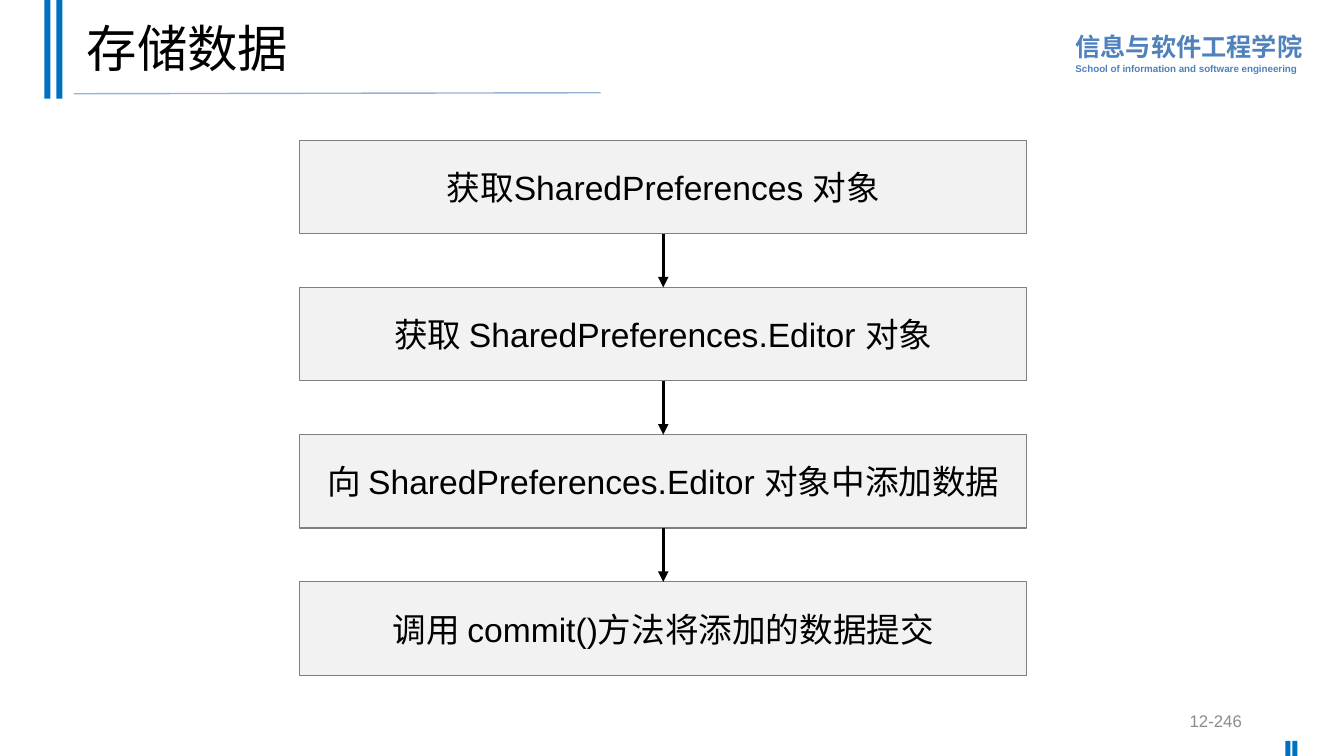
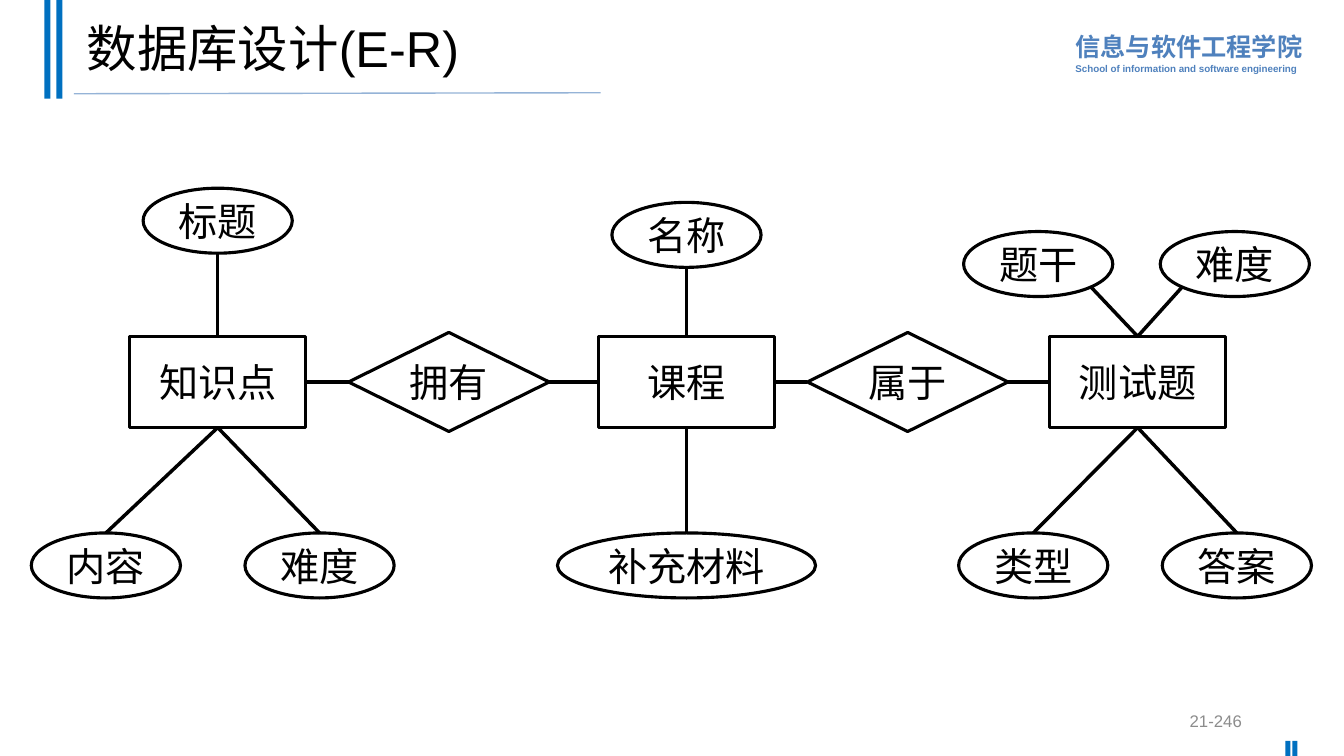
import math

import pptx
import pptx.dml.color
import pptx.enum.shapes
import pptx.enum.text
import pptx.oxml.ns
import pptx.util
from lxml import etree

SHAPE = pptx.enum.shapes.MSO_SHAPE
ALIGN = pptx.enum.text.PP_ALIGN
MIDDLE = pptx.enum.text.MSO_ANCHOR.MIDDLE
TOP, LEFT, BOTTOM, RIGHT = range(4)  # connection sites of rectangles and diamonds
FONT = "Arial"
BLACK, BLUE, PALE_BLUE, BADGE_BLUE = "000000", "0070C0", "95B3D7", "4F81BD"
GREY, BOX_FILL, BOX_LINE = "8C8C8C", "F2F2F2", "808080"


def color(code):
    return pptx.dml.color.RGBColor.from_string(code)


class Slides:
    """Shared style and the current page; lengths are percent of the slide's size."""

    def __init__(self):
        self.deck = pptx.Presentation()
        self.deck.slide_width = pptx.util.Inches(13.33)
        self.deck.slide_height = pptx.util.Inches(7.5)
        self.page = None

    def x(self, share):
        return round(self.deck.slide_width * share / 100)

    def y(self, share):
        return round(self.deck.slide_height * share / 100)

    def area(self, left, top, width, height):
        return self.x(left), self.y(top), self.x(width), self.y(height)

    def new_page(self, title, number):
        self.page = self.deck.slides.add_slide(self.deck.slide_layouts[5])
        for left in (3.3, 4.2):
            self.bar(left, 0, 0.45, 13.07)
        for left in (95.63, 96.15):
            self.bar(left, 98, 0.38, 2)
        self.line((5.5, 12.4), (44.7, 12.27), PALE_BLUE, 1)
        self.badge()
        holder = self.page.shapes.title
        holder.left, holder.top, holder.width, holder.height = self.area(5.7, 0.93, 86.25, 11.73)
        holder.text_frame.vertical_anchor = MIDDLE
        self.set_text(holder.text_frame.paragraphs[0], title, 36, spacing=0.9)
        frame = self.text_frame(70.65, 92.67, 22.5, 5.33)
        frame.vertical_anchor = MIDDLE
        self.set_text(frame.paragraphs[0], number, 12, GREY, ALIGN.RIGHT)

    def set_text(self, para, text, size, tint=BLACK, align=ALIGN.LEFT, spacing=None, bold=False):
        para.text = text
        para.alignment = align
        para.line_spacing = spacing
        para.font.name = FONT
        para.font.size = pptx.util.Pt(size)
        para.font.bold = bold
        para.font.color.rgb = color(tint)

    def text_frame(self, left, top, width, height):
        return self.page.shapes.add_textbox(*self.area(left, top, width, height)).text_frame

    def badge(self):
        frame = self.text_frame(79.28, 3.07, 18.38, 7.47)
        self.set_text(frame.paragraphs[0], "信息与软件工程学院", 18, BADGE_BLUE,
                      spacing=1.1, bold=True)
        self.set_text(frame.add_paragraph(), "School of information and software engineering",
                      7, BADGE_BLUE, spacing=1.1, bold=True)

    def bar(self, left, top, width, height):
        bar = self.page.shapes.add_shape(SHAPE.RECTANGLE, *self.area(left, top, width, height))
        bar.shadow.inherit = False
        bar.fill.solid()
        bar.fill.fore_color.rgb = color(BLUE)
        bar.line.fill.background()

    def node(self, kind, text, center, size, points=28, fill=None, outline=BLACK, weight=2.25):
        """Add a labelled shape around its center."""
        (x, y), (width, height) = center, size
        box = self.page.shapes.add_shape(
            kind, *self.area(x - width / 2, y - height / 2, width, height))
        box.shadow.inherit = False
        if fill:
            box.fill.solid()
            box.fill.fore_color.rgb = color(fill)
        else:
            box.fill.background()
        box.line.color.rgb = color(outline)
        box.line.width = pptx.util.Pt(weight)
        box.text_frame.word_wrap = False
        box.text_frame.vertical_anchor = MIDDLE
        self.set_text(box.text_frame.paragraphs[0], text, points, align=ALIGN.CENTER)
        return box

    def line(self, start, end, tint=BLACK, weight=2.5, arrow=False):
        line = self.page.shapes.add_connector(
            pptx.enum.shapes.MSO_CONNECTOR.STRAIGHT,
            self.x(start[0]), self.y(start[1]), self.x(end[0]), self.y(end[1]))
        line.line.color.rgb = color(tint)
        line.line.width = pptx.util.Pt(weight)
        properties = line.element.spPr
        if arrow:
            etree.SubElement(properties.find(pptx.oxml.ns.qn("a:ln")),
                             pptx.oxml.ns.qn("a:tailEnd"), type="triangle")
        etree.SubElement(properties, pptx.oxml.ns.qn("a:effectLst"))
        return line

    def link(self, source, source_site, target, target_site, arrow=False):
        """Glue a line to two shapes."""
        line = self.line((0, 0), (0, 0), arrow=arrow)
        line.begin_connect(source, source_site)
        line.end_connect(target, target_site)


def storage_page(slides):
    slides.new_page("存储数据", "12-246")
    steps = ["获取SharedPreferences 对象",
             "获取 SharedPreferences.Editor 对象",
             "向 SharedPreferences.Editor 对象中添加数据",
             "调用 commit()方法将添加的数据提交"]
    boxes = [slides.node(SHAPE.RECTANGLE, step, (49.35, 24.73 + 19.47 * row), (54.1, 12.35),
                         24, BOX_FILL, BOX_LINE, 0.75)
             for row, step in enumerate(steps)]
    for upper, lower in zip(boxes, boxes[1:]):
        slides.link(upper, BOTTOM, lower, TOP, arrow=True)


def database_page(slides):
    slides.new_page("数据库设计(E-R)", "21-246")
    middle, lower = 50.53, 74.8
    oval, wide_oval = (11.1, 8.6), (19.2, 8.6)
    # entity: center, attributes above (text, x, y), attributes below (text, x, size)
    entities = {
        "知识点": (16.2, [("标题", 16.2, 29.2)],
                [("内容", 7.88, oval), ("难度", 23.78, oval)]),
        "课程": (51.08, [("名称", 51.08, 31.07)], [("补充材料", 51.08, wide_oval)]),
        "测试题": (84.65, [("题干", 77.25, 34.93), ("难度", 91.88, 34.93)],
                [("类型", 76.88, oval), ("答案", 92.03, oval)]),
    }
    boxes = []
    for name, (center, above, below) in entities.items():
        entity = slides.node(SHAPE.RECTANGLE, name, (center, middle), (13.08, 12.06))
        boxes.append(entity)
        for text, x, y in above:
            slides.node(SHAPE.OVAL, text, (x, y), oval)
            # leave the oval at its bottom, or at 45 degrees towards the entity
            side = (center > x) - (center < x)
            angle = math.radians(90 - 45 * side)
            edge = (x + oval[0] / 2 * math.cos(angle), y + oval[1] / 2 * math.sin(angle))
            slides.line((0, 0), edge).begin_connect(entity, TOP)
        for text, x, size in below:
            attribute = slides.node(SHAPE.OVAL, text, (x, lower), size)
            slides.link(entity, BOTTOM, attribute, TOP)

    relations = [("拥有", 33.4), ("属于", 67.54)]
    for (text, x), first, second in zip(relations, boxes, boxes[1:]):
        relation = slides.node(SHAPE.FLOWCHART_DECISION, text, (x, middle), (14.93, 13.1))
        slides.link(first, RIGHT, relation, LEFT)
        slides.link(relation, RIGHT, second, LEFT)


def main():
    slides = Slides()
    storage_page(slides)
    database_page(slides)
    slides.deck.save("out.pptx")


if __name__ == "__main__":
    main()
